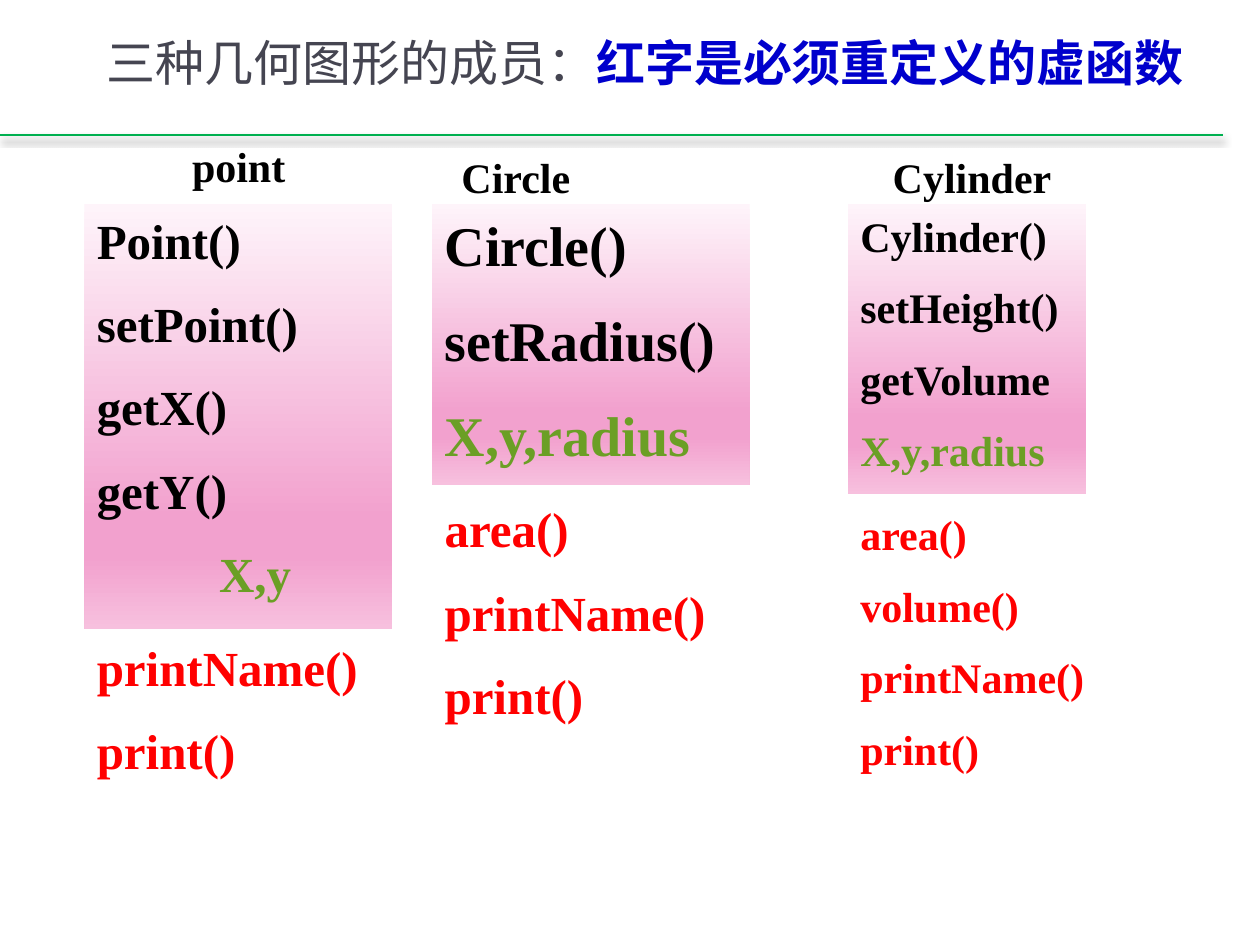
from lxml.etree import SubElement
from pptx import Presentation
from pptx.dml.color import RGBColor
from pptx.enum.shapes import MSO_CONNECTOR, MSO_SHAPE
from pptx.enum.text import MSO_ANCHOR, MSO_AUTO_SIZE, PP_ALIGN
from pptx.oxml.ns import qn
from pptx.util import Inches, Pt

BLACK = RGBColor(0x00, 0x00, 0x00)
WHITE = RGBColor(0xFF, 0xFF, 0xFF)
RED = RGBColor(0xFF, 0x00, 0x00)
GREEN = RGBColor(0x6B, 0x9F, 0x25)
SLATE = RGBColor(0x45, 0x45, 0x51)
BLUE = RGBColor(0x00, 0x00, 0xCC)
RULE_GREEN = RGBColor(0x00, 0xB0, 0x50)
PALE_PINK = RGBColor(0xFE, 0xF4, 0xFA)
PINK = RGBColor(0xF2, 0xA1, 0xCE)
SOFT_PINK = RGBColor(0xF7, 0xC0, 0xDE)
PINK_STOPS = [(0, PALE_PINK), (74, PINK), (83, PINK), (100, SOFT_PINK)]


def add_text(paragraph, text, *, size, color, font="Times New Roman", bold=True):
    """Append a formatted run to the paragraph."""
    run = paragraph.add_run()
    run.text = text
    run.font.size = Pt(size)
    run.font.name = font
    run.font.bold = bold
    run.font.color.rgb = color


def space_before(paragraph, percent):
    """Set the space above the paragraph as a share of its line."""
    spacing = SubElement(paragraph._p.get_or_add_pPr(), qn("a:spcBef"))
    SubElement(spacing, qn("a:spcPct"), val=str(percent * 1000))


def fill_lines(frame, lines, size, align=PP_ALIGN.LEFT):
    """Write (text, color, indent) lines as paragraphs of the frame."""
    frame.word_wrap = True
    frame.auto_size = MSO_AUTO_SIZE.SHAPE_TO_FIT_TEXT
    frame.vertical_anchor = MSO_ANCHOR.TOP
    for index, (text, color, indent) in enumerate(lines):
        paragraph = frame.paragraphs[0] if index == 0 else frame.add_paragraph()
        paragraph.alignment = align
        space_before(paragraph, 50)
        if indent:
            paragraph._p.get_or_add_pPr().set("marL", str(Inches(indent)))
        add_text(paragraph, text, size=size, color=color)


def fill_pink(shape):
    """Give the shape the vertical pink gradient."""
    shape.fill.gradient()
    shape.fill.gradient_angle = 270
    stops = shape._element.spPr.find(".//" + qn("a:gsLst"))
    for stop in list(stops):
        stops.remove(stop)
    for position, color in PINK_STOPS:
        stop = SubElement(stops, qn("a:gs"), pos=str(position * 1000))
        SubElement(stop, qn("a:srgbClr"), val=str(color))


def add_members(slide, box, lines, size, pink=False):
    """Place one block of class members in the box."""
    block = slide.shapes.add_shape(MSO_SHAPE.RECTANGLE, *map(Inches, box))
    block.shadow.inherit = False
    block.line.fill.background()
    if pink:
        fill_pink(block)
    else:
        block.fill.solid()
        block.fill.fore_color.rgb = WHITE
    fill_lines(block.text_frame, lines, size)


def add_class(slide, name, name_at, own_box, own, data, virtual_box, virtual,
              own_size, virtual_size, data_indent=0):
    """Place a class name, its own members and its virtual functions."""
    add_members(slide, virtual_box, [(text, RED, 0) for text in virtual], virtual_size)
    label = slide.shapes.add_textbox(*map(Inches, (*name_at, 1.97, 0.5)))
    fill_lines(label.text_frame, [(name, BLACK, 0)], 24, PP_ALIGN.CENTER)
    members = [(text, BLACK, 0) for text in own] + [(data, GREEN, data_indent)]
    add_members(slide, own_box, members, own_size, pink=True)


def add_header(slide, left, top, width, height):
    """Place the title in the box and the shadowed rule below it."""
    rule_y = Inches(top + height + 0.08)
    rule = slide.shapes.add_connector(
        MSO_CONNECTOR.STRAIGHT, 0, rule_y, Inches(9.71), rule_y)
    rule.line.color.rgb = RULE_GREEN
    rule.line.width = Pt(1.25)
    effects = SubElement(rule._element.spPr, qn("a:effectLst"))
    shadow = SubElement(effects, qn("a:outerShdw"), blurRad=str(Pt(4)),
                        dist=str(Pt(2.5)), dir="5400000", rotWithShape="0")
    shade = SubElement(shadow, qn("a:srgbClr"), val=str(BLACK))
    SubElement(shade, qn("a:alpha"), val="47000")

    title = slide.shapes.add_textbox(*map(Inches, (left, top, width, height)))
    frame = title.text_frame
    frame.word_wrap = True
    frame.vertical_anchor = MSO_ANCHOR.MIDDLE
    heading = frame.paragraphs[0]
    add_text(heading, "三种几何图形的成员：", size=28, color=SLATE, font="Arial", bold=False)
    add_text(heading, "红字是必须重定义的虚函数", size=28, color=BLUE, font="Arial")


def main():
    """Build the slide and save it."""
    presentation = Presentation()
    presentation.slide_width = Inches(10)
    presentation.slide_height = Inches(7.5)
    slide = presentation.slides.add_slide(presentation.slide_layouts[6])

    add_header(slide, 0.75, 0, 8.98, 0.99)
    add_class(slide, "point", (0.91, 1.07),
              (0.67, 1.62, 2.44, 3.37), ["Point()", "setPoint()", "getX()", "getY()"], "X,y",
              (0.67, 5.01, 2.44, 1.27), ["printName()", "print()"],
              own_size=28, virtual_size=28, data_indent=0.97)
    add_class(slide, "Circle", (3.11, 1.15),
              (3.43, 1.62, 2.52, 2.23), ["Circle()", "setRadius()"], "X,y,radius",
              (3.43, 3.91, 2.52, 1.97), ["area()", "printName()", "print()"],
              own_size=32, virtual_size=28)
    add_class(slide, "Cylinder", (6.73, 1.15),
              (6.73, 1.62, 1.89, 2.3), ["Cylinder()", "setHeight()", "getVolume"], "X,y,radius",
              (6.73, 3.99, 2.36, 2.32), ["area()", "volume()", "printName()", "print()"],
              own_size=24, virtual_size=24)

    presentation.save("out.pptx")


if __name__ == "__main__":
    main()
